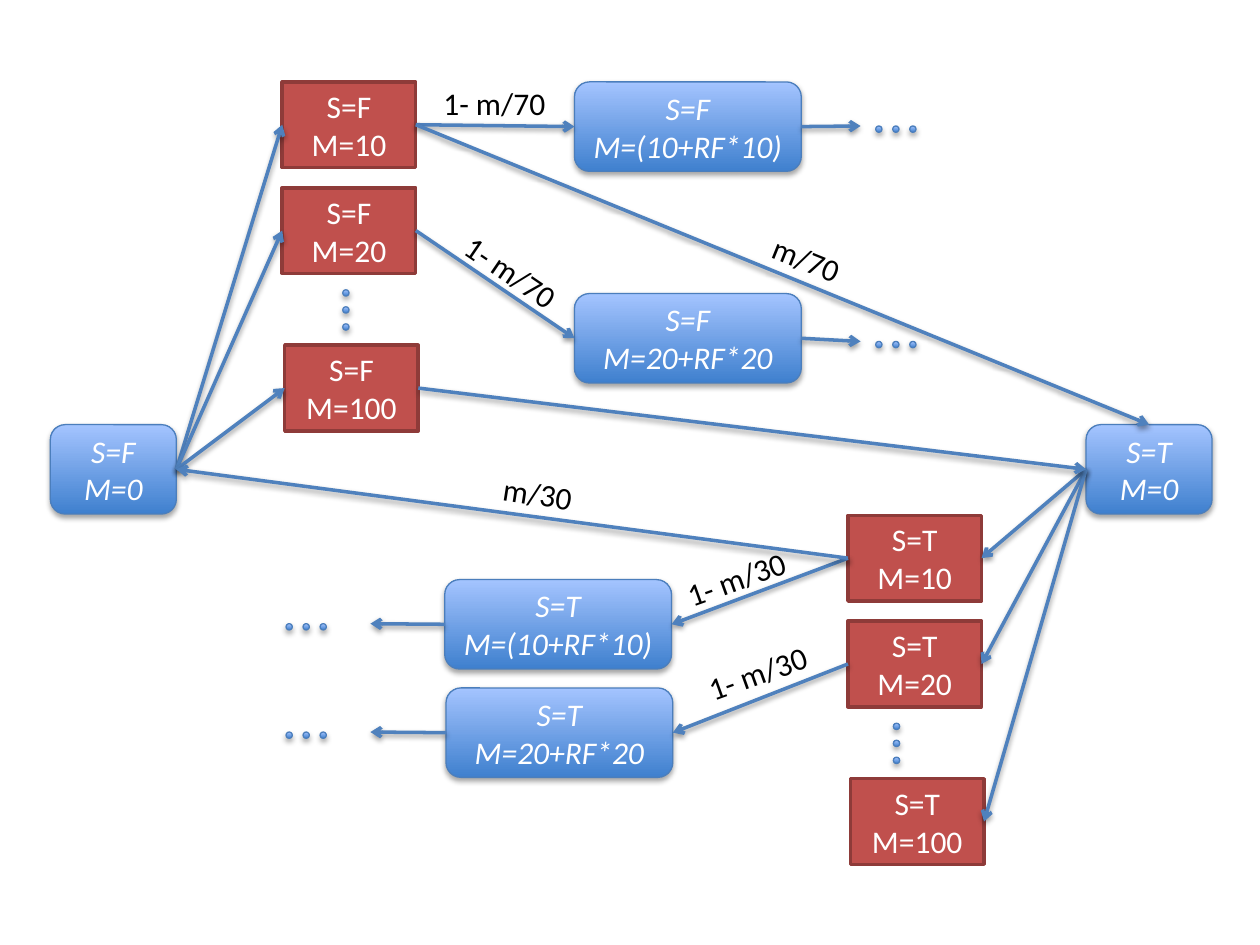
import lxml.etree
import pptx
import pptx.dml.color
import pptx.enum.shapes
import pptx.enum.text
import pptx.oxml.ns
import pptx.util

Inches = pptx.util.Inches
Pt = pptx.util.Pt
Shapes = pptx.enum.shapes.MSO_SHAPE
TOP, LEFT, RIGHT = 0, 1, 3


def color(value):
    """Turn a hex string into a colour."""
    return pptx.dml.color.RGBColor.from_string(value)


def add_node(parent, tag, **attributes):
    """Append an XML element and return it."""
    node = lxml.etree.SubElement(parent, pptx.oxml.ns.qn(tag))
    for name, value in attributes.items():
        node.set(name, str(value))
    return node


class Diagram:
    """Style and current slide of a state diagram."""

    font = "Calibri"
    size = 18
    white, black = "FFFFFF", "000000"
    blue_dark, blue_light, blue_edge = "3F80CE", "A4C4FF", "4B7EBC"
    red, red_edge = "C0504D", "8E3B39"
    arrow_color = "4F81BD"
    dot_size, dot_step = 0.05, 0.135

    def __init__(self, page):
        """Keep the slide to draw on."""
        self.page = page

    def add_shadow(self, item, distance, opacity):
        """Give a shape or connector a soft shadow below it."""
        effects = add_node(item._element.spPr, "a:effectLst")
        shadow = add_node(effects, "a:outerShdw", blurRad=Pt(3.1), dist=Pt(distance),
                          dir=90 * 60000, rotWithShape=0)
        shade = add_node(shadow, "a:srgbClr", val=self.black)
        add_node(shade, "a:alpha", val=opacity * 1000)

    def style_blue(self, shape):
        """Apply the blue gradient, edge and shadow."""
        shape.fill.gradient()
        shape.fill.gradient_angle = 90
        for stop, value in zip(shape.fill.gradient_stops, (self.blue_dark, self.blue_light)):
            stop.color.rgb = color(value)
        shape.line.color.rgb = color(self.blue_edge)
        shape.line.width = Pt(0.75)
        self.add_shadow(shape, 1.8, 35)

    def add_text(self, frame, lines, text_color, italic=False, align=None):
        """Put one paragraph per line into a text frame."""
        frame.word_wrap = True
        for number, line in enumerate(lines):
            para = frame.add_paragraph() if number else frame.paragraphs[0]
            para.alignment = align
            span = para.add_run()
            span.text = line
            span.font.name = self.font
            span.font.size = Pt(self.size)
            span.font.italic = italic
            span.font.color.rgb = color(text_color)

    def add_box(self, kind, left, top, width, height, lines, italic):
        """Add a box with centred white text."""
        box = self.page.shapes.add_shape(
            kind, Inches(left), Inches(top), Inches(width), Inches(height))
        box.text_frame.vertical_anchor = pptx.enum.text.MSO_ANCHOR.MIDDLE
        self.add_text(box.text_frame, lines, self.white, italic, pptx.enum.text.PP_ALIGN.CENTER)
        return box

    def add_state(self, left, top, width, *lines):
        """Add a rounded blue state."""
        box = self.add_box(Shapes.ROUNDED_RECTANGLE, left, top, width, 0.71, lines, True)
        self.style_blue(box)
        return box

    def add_choice(self, left, top, *lines):
        """Add a red choice box."""
        box = self.add_box(Shapes.RECTANGLE, left, top, 1.06, 0.68, lines, False)
        box.shadow.inherit = False
        box.fill.solid()
        box.fill.fore_color.rgb = color(self.red)
        box.line.color.rgb = color(self.red_edge)
        box.line.width = Pt(2)
        return box

    def add_dots(self, left, top, across):
        """Add a group of three dots in a row or a column."""
        group = self.page.shapes.add_group_shape()
        for number in range(3):
            shift = number * self.dot_step
            x, y = (left + shift, top) if across else (left, top + shift)
            dot = group.shapes.add_shape(Shapes.OVAL, Inches(x), Inches(y),
                                         Inches(self.dot_size), Inches(self.dot_size))
            self.style_blue(dot)

    def add_arrow(self, source, source_side, target, target_side=None):
        """Add an arrow from a box to another box or to a point."""
        x, y = (0, 0) if target_side is not None else target
        arrow = self.page.shapes.add_connector(
            pptx.enum.shapes.MSO_CONNECTOR.STRAIGHT, 0, 0, Inches(x), Inches(y))
        arrow.begin_connect(source, source_side)
        if target_side is not None:
            arrow.end_connect(target, target_side)
        arrow.line.color.rgb = color(self.arrow_color)
        arrow.line.width = Pt(2)
        outline = arrow._element.spPr.find(pptx.oxml.ns.qn("a:ln"))
        add_node(outline, "a:tailEnd", type="arrow")
        self.add_shadow(arrow, 1.6, 38)

    def add_label(self, left, top, width, text, rotation=0):
        """Add a black label, turned along its arrow."""
        box = self.page.shapes.add_textbox(
            Inches(left), Inches(top), Inches(width), Inches(0.4))
        box.rotation = rotation
        self.add_text(box.text_frame, [text], self.black)
        box.text_frame.auto_size = pptx.enum.text.MSO_AUTO_SIZE.SHAPE_TO_FIT_TEXT


deck = pptx.Presentation()
deck.slide_width, deck.slide_height = Inches(10), Inches(7.5)
diagram = Diagram(deck.slides.add_slide(deck.slide_layouts[6]))

start_false = diagram.add_state(0.4, 3.37, 1, "S=F", "M=0")
start_true = diagram.add_state(8.62, 3.37, 1, "S=T", "M=0")


def add_choices(label, left, top, start, start_side, choice_side):
    """Add the three choices of a start state with their arrows."""
    choices = []
    for amount, right, down in ((10, 0, 0), (20, 0, 0.84), (100, 0.02, 2.09)):
        choice = diagram.add_choice(left + right, top + down, label, f"M={amount}")
        diagram.add_arrow(start, start_side, choice, choice_side)
        choices.append(choice)
    return choices


false_10, false_20, false_100 = add_choices("S=F", 2.24, 0.65, start_false, RIGHT, LEFT)
true_10, true_20, true_100 = add_choices("S=T", 6.73, 4.09, start_true, LEFT, RIGHT)
diagram.add_dots(2.72, 2.3, False)
diagram.add_dots(7.09, 5.74, False)

sums = ("M=(10+RF*10)", "M=20+RF*20")
for choice, left, top, amount, end_y in ((false_10, 4.56, 0.65, sums[0], 1),
                                         (false_20, 4.56, 2.33, sums[1], 2.71)):
    state = diagram.add_state(left, top, 1.8, "S=F", amount)
    diagram.add_arrow(choice, RIGHT, state, LEFT)
    diagram.add_arrow(state, RIGHT, (6.83, end_y))
    diagram.add_dots(6.95, end_y, True)

for choice, left, top, amount, end_y in ((true_10, 3.53, 4.6, sums[0], 4.95),
                                         (true_20, 3.54, 5.46, sums[1], 5.81)):
    state = diagram.add_state(left, top, 1.8, "S=T", amount)
    diagram.add_arrow(choice, LEFT, state, RIGHT)
    diagram.add_arrow(state, LEFT, (2.94, end_y))
    diagram.add_dots(2.27, end_y, True)

diagram.add_arrow(false_10, RIGHT, start_true, TOP)
diagram.add_arrow(false_100, RIGHT, start_true, LEFT)
diagram.add_arrow(true_10, LEFT, start_false, RIGHT)

for label in ((3.42, 0.62, 1.48, "1- m/70"),
              (6.01, 1.95, 1.24, "m/70", 22.1),
              (3.53, 2.03, 1.27, "1- m/70", 34.3),
              (3.89, 3.77, 1.44, "m/30", 9.1),
              (5.33, 4.34, 1.3, "1- m/30", 340.1),
              (5.5, 5.09, 1.3, "1- m/30", 340.1)):
    diagram.add_label(*label)

deck.save("out.pptx")
